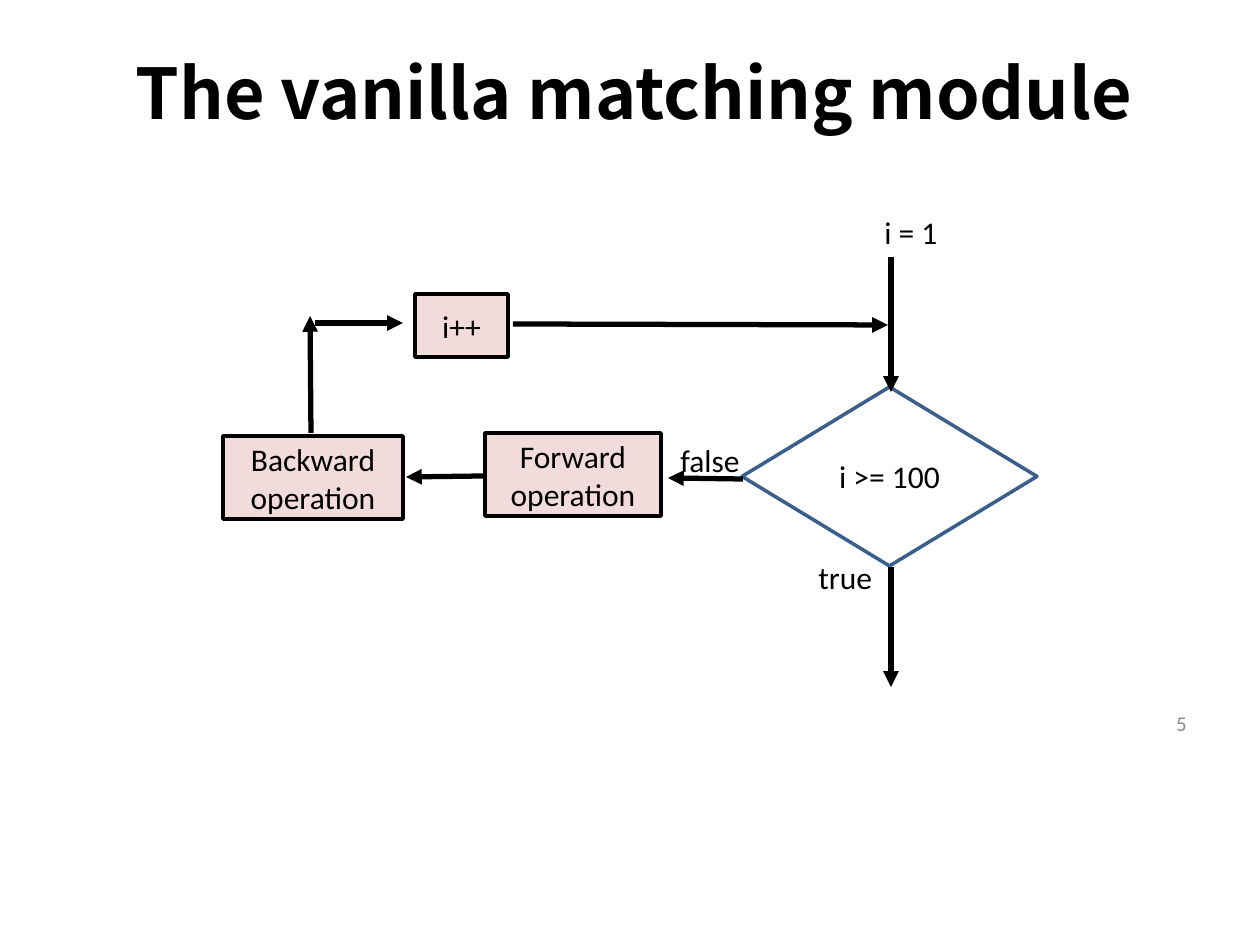
from lxml.etree import SubElement
from pptx import Presentation
from pptx.dml.color import RGBColor
from pptx.enum.shapes import MSO_CONNECTOR, MSO_SHAPE
from pptx.enum.text import MSO_ANCHOR, PP_ALIGN
from pptx.oxml.ns import qn
from pptx.util import Pt

PX = 914400 / 126
BLACK, PINK, WHITE, BLUE, GREY = "000000", "F2DCDB", "FFFFFF", "3A5F8C", "8C8C8C"

TITLE = ("The vanilla matching module", (54, 0, 1160, 183))
PAGE = ("5", (905, 698, 294, 50))
STEPS = [
    ("Backward\noperation", (223, 436, 180, 83)),
    ("Forward\noperation", (485, 433, 176, 83)),
    ("i++", (415, 294, 93, 63)),
]
TEST = ("i >= 100", (742, 387, 295, 179))
LABELS = [
    ("false", (668, 435, 103, 50)),
    ("true", (806, 552, 88, 50)),
    ("i = 1", (872, 207, 83, 50)),
]
ARROWS = [
    (311, 433, 310, 316),
    (743, 479, 668, 478),
    (891, 567, 891, 687),
    (891, 257, 891, 392),
    (315, 323, 403, 323),
    (484, 476, 406, 477),
    (513, 324, 888, 325),
]


def emu(values):
    return [round(v * PX) for v in values]


def rgb(value):
    return RGBColor.from_string(value)


def write(sp, text, align=PP_ALIGN.CENTER, anchor=MSO_ANCHOR.MIDDLE,
          size=18, color=BLACK, font="Calibri", bold=False):
    tf = sp.text_frame
    tf.word_wrap = True
    tf.vertical_anchor = anchor
    tf.text = text
    for p in tf.paragraphs:
        p.alignment = align
        p.font.size, p.font.name, p.font.bold = Pt(size), font, bold
        p.font.color.rgb = rgb(color)
    return tf


def add_text(s, text, box, **style):
    write(s.shapes.add_textbox(*emu(box)), text, **style)


def add_node(s, kind, text, box, fill, line):
    sp = s.shapes.add_shape(kind, *emu(box))
    sp.shadow.inherit = False
    sp.fill.solid()
    sp.fill.fore_color.rgb = rgb(fill)
    sp.line.color.rgb = rgb(line)
    sp.line.width = Pt(2)
    write(sp, text)
    return sp


def add_arrow(s, ends):
    c = s.shapes.add_connector(MSO_CONNECTOR.STRAIGHT, *emu(ends))
    c.line.color.rgb = rgb(BLACK)
    c.line.width = Pt(3)
    SubElement(c.line._get_or_add_ln(), qn("a:tailEnd"), type="triangle")
    SubElement(c._element.spPr, qn("a:effectLst"))


def main():
    """Build the flow chart slide of the matching loop."""
    prs = Presentation()
    prs.slide_width, prs.slide_height = emu((1260, 945))
    s = prs.slides.add_slide(prs.slide_layouts[6])
    add_text(s, *TITLE, size=40, font="Noto Sans CJK SC", bold=True)
    test = add_node(s, MSO_SHAPE.DIAMOND, *TEST, WHITE, BLUE)
    tf = test.text_frame
    tf.word_wrap = False
    tf.margin_left, tf.margin_top, tf.margin_right, tf.margin_bottom = emu((4, 4, 4, 6))
    for text, box in STEPS:
        step = add_node(s, MSO_SHAPE.ROUNDED_RECTANGLE, text, box, PINK, BLACK)
        step.adjustments[0] = 0
    for ends in ARROWS:
        add_arrow(s, ends)
    for text, box in LABELS:
        add_text(s, text, box, align=PP_ALIGN.LEFT, anchor=MSO_ANCHOR.TOP)
    add_text(s, *PAGE, align=PP_ALIGN.RIGHT, size=12, color=GREY)
    prs.save("out.pptx")


if __name__ == "__main__":
    main()
